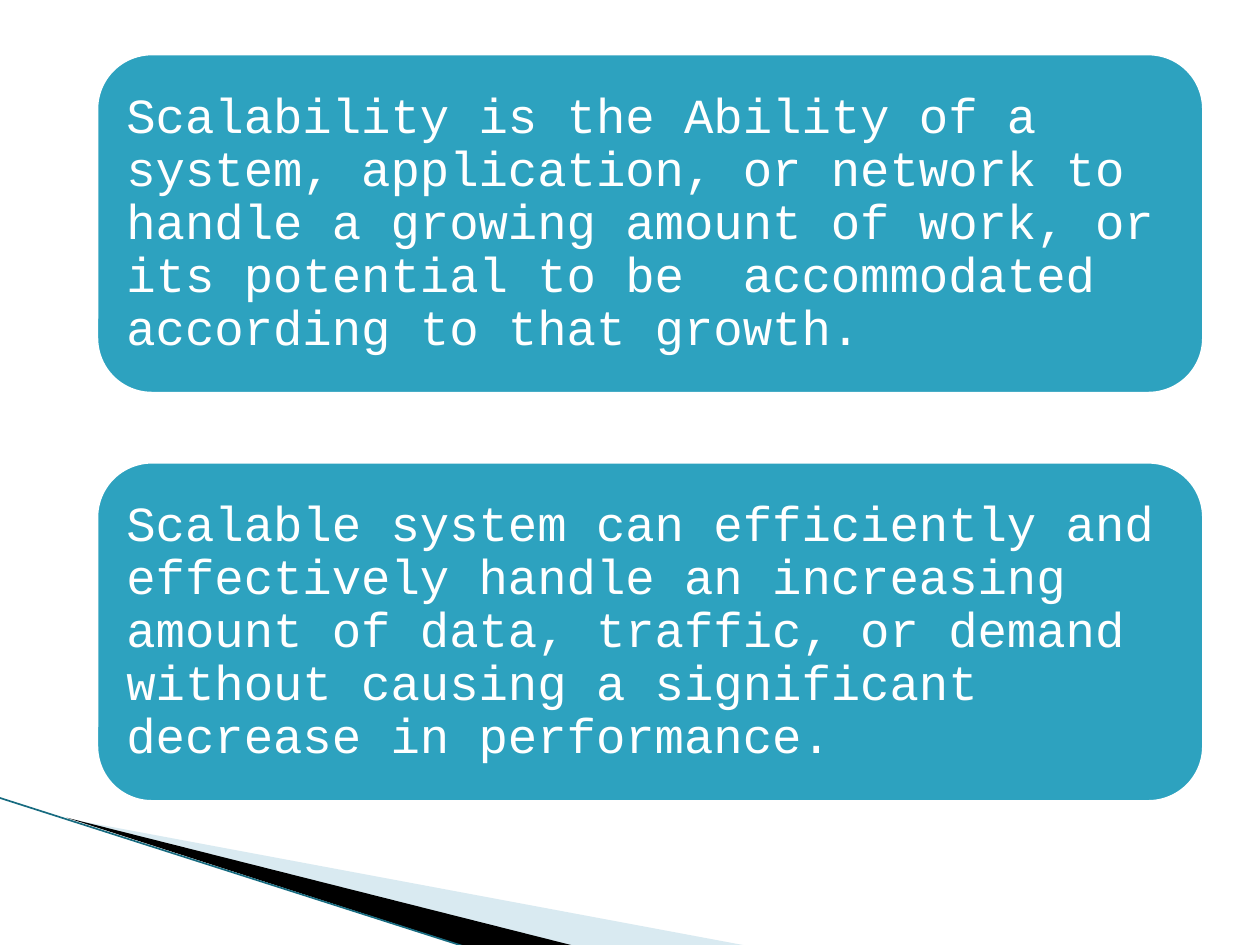
from lxml.etree import SubElement
from pptx import Presentation
from pptx.dml.color import RGBColor
from pptx.enum.shapes import MSO_CONNECTOR, MSO_SHAPE
from pptx.enum.text import MSO_ANCHOR, PP_ALIGN
from pptx.oxml.ns import qn
from pptx.util import Inches, Pt

# Content
STATEMENTS = [
    "Scalability is the Ability of a system, application, or network to handle "
    "a growing amount of work, or its potential to be  accommodated according "
    "to that growth.",
    "Scalable system can efficiently and effectively handle an increasing "
    "amount of data, traffic, or demand without causing a significant decrease "
    "in performance.",
]

THEME = {
    "font": "Courier New", "size": 28, "text": "FFFFFF",
    "card": "2DA2BF", "card_line": "FFFFFF", "card_line_width": 4.33,
    "edge": "176B80", "edge_width": 0.95,
}

# Corner wedges: fill, opacity in percent, outline points
WEDGES = [
    ("A0CBDC", 40, [(0.55, 6.5), (5.95, 7.51), (4.56, 7.51)]),
    ("000000", 100, [(0.53, 6.49), (4.57, 7.51), (3.72, 7.52)]),
]
EDGE = [(-0.01, 6.33), (3.71, 7.52)]

# Layout, in inches
SLIDE_W, SLIDE_H = 10, 7.5
CARD_LEFT, CARD_TOP = 0.75, 0.41
CARD_W, CARD_H, CARD_GAP = 8.82, 2.73, 0.51
INSET = 0.12


def color(value):
    return RGBColor.from_string(value)


def write_text(frame, text, *, font, size, ink, line_spacing=0.9):
    frame.word_wrap = True
    frame.vertical_anchor = MSO_ANCHOR.MIDDLE
    frame.margin_left = frame.margin_right = Inches(INSET)
    frame.margin_top = frame.margin_bottom = Inches(INSET)
    paragraph = frame.paragraphs[0]
    paragraph.alignment = PP_ALIGN.LEFT
    paragraph.line_spacing = line_spacing
    run = paragraph.add_run()
    run.text = text
    run.font.name = font
    run.font.size = Pt(size)
    run.font.color.rgb = color(ink)


def add_wedge(slide, fill, opacity, points):
    (x, y), *rest = points
    builder = slide.shapes.build_freeform(Inches(x), Inches(y))
    builder.add_line_segments([(Inches(px), Inches(py)) for px, py in rest])
    wedge = builder.convert_to_shape()
    wedge.shadow.inherit = False
    wedge.line.fill.background()
    wedge.fill.solid()
    wedge.fill.fore_color.rgb = color(fill)
    if opacity < 100:
        rgb = wedge.fill._xPr.find(qn("a:solidFill"))[0]
        SubElement(rgb, qn("a:alpha")).set("val", str(opacity * 1000))


def add_edge(slide):
    ends = [Inches(value) for point in EDGE for value in point]
    edge = slide.shapes.add_connector(MSO_CONNECTOR.STRAIGHT, *ends)
    edge.line.color.rgb = color(THEME["edge"])
    edge.line.width = Pt(THEME["edge_width"])
    SubElement(edge._element.spPr, qn("a:effectLst"))


def add_card(slide, row, statement):
    top = CARD_TOP + row * (CARD_H + CARD_GAP)
    card = slide.shapes.add_shape(
        MSO_SHAPE.ROUNDED_RECTANGLE, Inches(CARD_LEFT), Inches(top),
        Inches(CARD_W), Inches(CARD_H))
    card.shadow.inherit = False
    card.fill.solid()
    card.fill.fore_color.rgb = color(THEME["card"])
    card.line.color.rgb = color(THEME["card_line"])
    card.line.width = Pt(THEME["card_line_width"])
    write_text(card.text_frame, statement, font=THEME["font"],
               size=THEME["size"], ink=THEME["text"])


def main():
    deck = Presentation()
    deck.slide_width, deck.slide_height = Inches(SLIDE_W), Inches(SLIDE_H)
    slide = deck.slides.add_slide(deck.slide_layouts[6])

    # Corner decoration
    for wedge in WEDGES:
        add_wedge(slide, *wedge)
    add_edge(slide)

    # Statement cards
    for row, statement in enumerate(STATEMENTS):
        add_card(slide, row, statement)

    deck.save("out.pptx")


if __name__ == "__main__":
    main()
